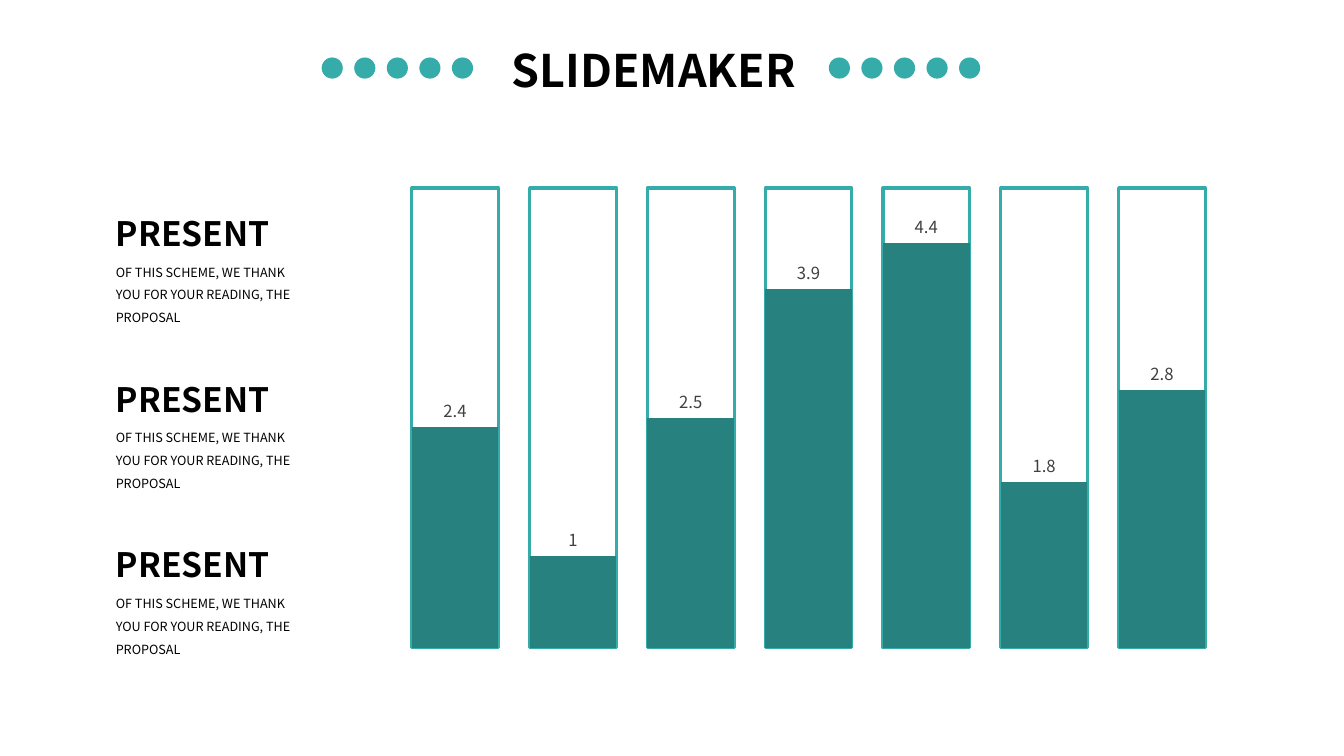
import pptx
import pptx.chart.data
import pptx.dml.color
import pptx.enum.chart
import pptx.enum.shapes
import pptx.enum.text
import pptx.oxml
import pptx.util

Inches = pptx.util.Inches
Pt = pptx.util.Pt
RGBColor = pptx.dml.color.RGBColor

TEAL = RGBColor(0x35, 0xAC, 0xA9)
DARK_TEAL = RGBColor(0x27, 0x81, 0x7E)
GREY = RGBColor(0x40, 0x40, 0x40)
BLACK = RGBColor(0, 0, 0)
FONT = "Noto Sans CJK JP"


def set_font(font, size, color=BLACK, bold=False):
    font.name = FONT
    font.size = Pt(size)
    font.bold = bold
    font.color.rgb = color


def add_text(text, top, width, height, size, bold=False, spacing=1.0):
    tb = s.shapes.add_textbox(Inches(1.05), Inches(top), Inches(width), Inches(height))
    tf = tb.text_frame
    tf.word_wrap = True
    tf.auto_size = pptx.enum.text.MSO_AUTO_SIZE.SHAPE_TO_FIT_TEXT
    p = tf.paragraphs[0]
    p.text = text
    p.line_spacing = spacing
    set_font(p.font, size, bold=bold)


prs = pptx.Presentation()
prs.slide_width = Inches(13.33)
prs.slide_height = Inches(7.5)
s = prs.slides.add_slide(prs.slide_layouts[5])

title = s.shapes.title
title.left, title.top = Inches(4.85), Inches(0.37)
title.width, title.height = Inches(3.27), Inches(0.64)
tf = title.text_frame
tf.word_wrap = False
tf.auto_size = pptx.enum.text.MSO_AUTO_SIZE.NONE
p = tf.paragraphs[0]
p.text = "SLIDEMAKER"
p.alignment = pptx.enum.text.PP_ALIGN.CENTER
set_font(p.font, 32, bold=True)

data = pptx.chart.data.CategoryChartData()
data.categories = ["1", "2", "3", "4", "5", "6", "7"]
data.add_series("Series 1", [5] * 7)
data.add_series("Series 2", [2.4, 1, 2.5, 3.9, 4.4, 1.8, 2.8])
chart = s.shapes.add_chart(
    pptx.enum.chart.XL_CHART_TYPE.COLUMN_CLUSTERED,
    Inches(3.76), Inches(1.77), Inches(8.52), Inches(4.75), data).chart
chart.has_legend = False
chart.has_title = False
set_font(chart.font, 10)
chart.category_axis.visible = False
chart.value_axis.visible = False
chart.value_axis.has_major_gridlines = False
chart.value_axis.minimum_scale = 0
chart.value_axis.maximum_scale = 5

plot = chart.plots[0]
plot.gap_width = 36
plot.overlap = 100
plot.vary_by_categories = False
frame, level = plot.series
frame.format.fill.background()
frame.format.line.color.rgb = TEAL
frame.format.line.width = Pt(2.25)
level.format.fill.solid()
level.format.fill.fore_color.rgb = DARK_TEAL
labels = level.data_labels
labels.show_value = True
labels.position = pptx.enum.chart.XL_LABEL_POSITION.OUTSIDE_END
set_font(labels.font, 11.9, GREY)

plot_area = chart.element.find(".//" + pptx.oxml.ns.qn("c:plotArea"))
for old in plot_area.findall(pptx.oxml.ns.qn("c:layout")):
    plot_area.remove(old)
plot_area.insert(0, pptx.oxml.parse_xml(
    f'<c:layout {pptx.oxml.ns.nsdecls("c")}><c:manualLayout>'
    '<c:layoutTarget val="inner"/><c:xMode val="edge"/><c:yMode val="edge"/>'
    '<c:x val="0.02"/><c:y val="0.02"/><c:w val="0.96"/><c:h val="0.96"/>'
    '</c:manualLayout></c:layout>'))

for i in range(3):
    top = 2.06 + i * 1.645
    add_text("PRESENT", top, 1.79, 0.5, 24, bold=True)
    add_text("OF THIS SCHEME, WE THANK YOU FOR YOUR READING, THE PROPOSAL",
             top + 0.44, 2.11, 0.75, 9, spacing=1.5)

for left in (8.22, 3.19):
    for i in range(5):
        dot = s.shapes.add_shape(
            pptx.enum.shapes.MSO_SHAPE.OVAL,
            Inches(left + i * 0.323), Inches(0.57), Inches(0.21), Inches(0.21))
        dot.shadow.inherit = False
        dot.fill.solid()
        dot.fill.fore_color.rgb = TEAL
        dot.line.fill.background()

prs.save("out.pptx")
